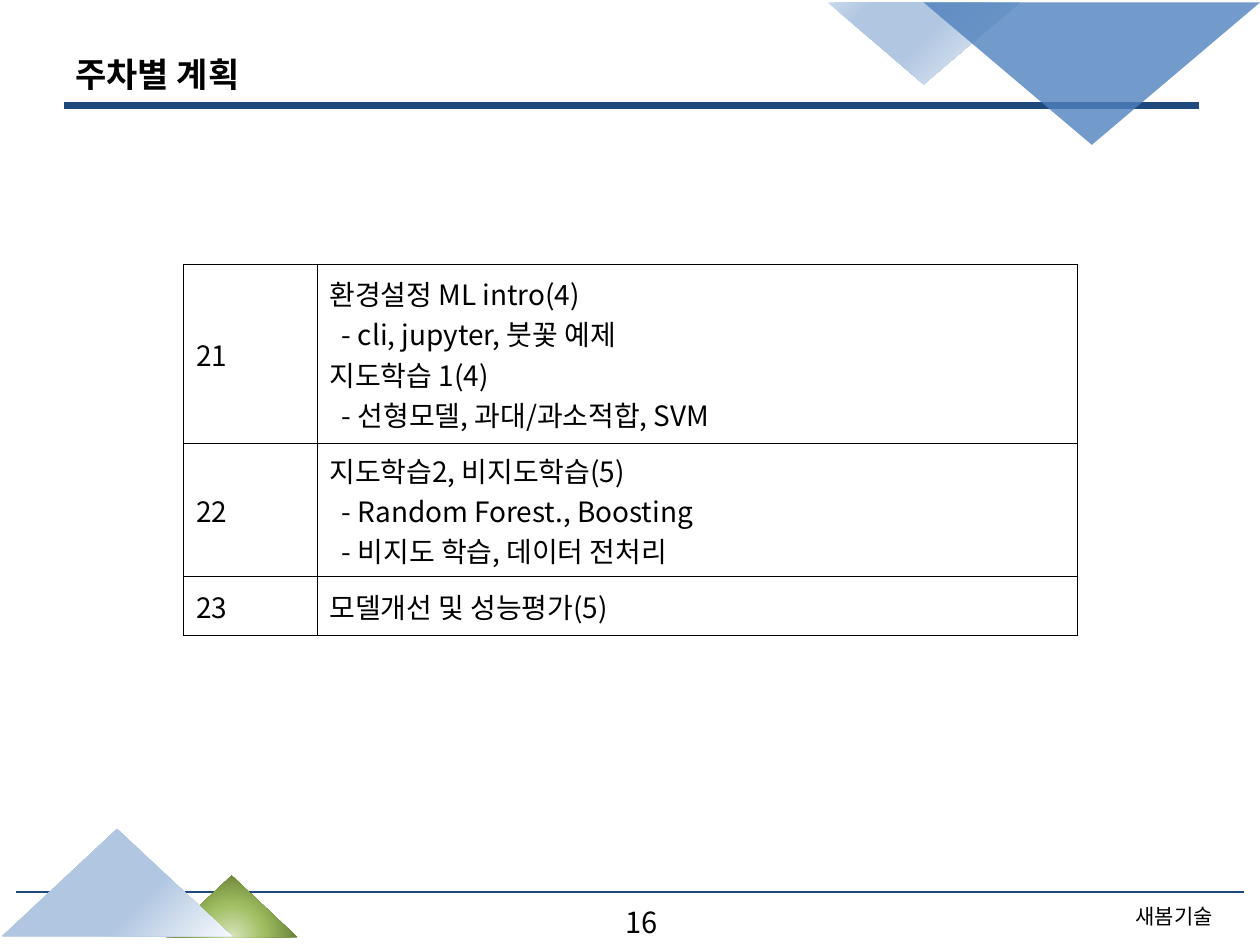
from dataclasses import dataclass

from lxml import etree
from pptx import Presentation
from pptx import util as u
from pptx.dml.color import RGBColor
from pptx.enum import shapes, text
from pptx.oxml import parse_xml
from pptx.oxml.ns import nsdecls, qn


@dataclass(frozen=True)
class Theme:
    font: str = "Noto Sans CJK KR"
    ink: str = "000000"
    rule: str = "1F497D"
    blue: str = "4F81BD"
    pale: tuple = ("F6F9FC", "B0C6E1", "B0C6E1", "CAD9EB")
    green: tuple = ("D7E4BD", "A0BE61", "5F7530")
    title: float = 19.4
    body: float = 16
    number: float = 16.6
    footer: float = 12


theme = Theme()


def add_run(p, words, size, align, bold=False):
    p.alignment = align
    r = p.add_run()
    r.text = words
    r.font.size = u.Pt(size)
    r.font.bold = bold
    r.font.name = theme.font
    r.font.color.rgb = RGBColor.from_string(theme.ink)
    etree.SubElement(r.font._element, qn("a:ea"), typeface=theme.font)


def solid_xml(color, alpha=100):
    return (f'<a:solidFill {nsdecls("a")}><a:srgbClr val="{color}">'
            f'<a:alpha val="{alpha * 1000}"/></a:srgbClr></a:solidFill>')


prs = Presentation()
prs.slide_width, prs.slide_height = u.Cm(25.4), u.Cm(19.05)
s = prs.slides.add_slide(prs.slide_layouts[6])

for left, right, y, weight in [(0.33, 25.07, 17.98, 1.5), (1.3, 24.18, 2.13, 4)]:
    c = s.shapes.add_connector(shapes.MSO_CONNECTOR.STRAIGHT,
                               u.Cm(left), u.Cm(y), u.Cm(right), u.Cm(y))
    c.line.color.rgb = RGBColor.from_string(theme.rule)
    c.line.width = u.Pt(weight)
    etree.SubElement(c._element.spPr, qn("a:effectLst"))

corner = dict(l=100, t=100, r=0, b=0)
below = dict(l=50, t=130, r=50, b=-30)
triangles = [
    (16.69, 0.05, 3.86, 1.65, 180, theme.pale, (0, 53, 83, 100), corner),
    (18.62, 0.05, 6.78, 2.87, 180, theme.blue, None, None),
    (3.35, 17.65, 2.64, 1.24, 0, theme.green, (0, 46, 100), below),
    (0.05, 16.71, 4.62, 2.16, 0, theme.pale, (0, 38, 67, 100), corner),
]
for left, top, width, height, turn, colors, stops, focus in triangles:
    sp = s.shapes.add_shape(shapes.MSO_SHAPE.ISOSCELES_TRIANGLE,
                            u.Cm(left), u.Cm(top), u.Cm(width), u.Cm(height))
    sp.rotation = turn
    sp.shadow.inherit = False
    sp.line.fill.background()
    if stops:
        gs = "".join(f'<a:gs pos="{pos * 1000}"><a:srgbClr val="{color}"/></a:gs>'
                     for pos, color in zip(stops, colors))
        rect = " ".join(f'{side}="{v * 1000}"' for side, v in focus.items())
        fill = (f'<a:gradFill {nsdecls("a")} rotWithShape="1"><a:gsLst>{gs}</a:gsLst>'
                f'<a:path path="circle"><a:fillToRect {rect}/></a:path></a:gradFill>')
    else:
        fill = solid_xml(colors, 80)
    sp._element.spPr.find(qn("a:prstGeom")).addnext(parse_xml(fill))

center, left_al = text.PP_ALIGN.CENTER, text.PP_ALIGN.LEFT
top_anchor, middle = text.MSO_ANCHOR.TOP, text.MSO_ANCHOR.MIDDLE
labels = [
    ("새봄기술", 22.5, 18.08, 2.34, 0.76, theme.footer, center, top_anchor, False),
    ("16", 9.98, 18.11, 5.92, 1.02, theme.number, center, top_anchor, False),
    ("주차별 계획", 1.27, 0.91, 22.86, 1.17, theme.title, left_al, middle, True),
]
for words, left, top, width, height, size, align, anchor, bold in labels:
    tf = s.shapes.add_textbox(u.Cm(left), u.Cm(top), u.Cm(width), u.Cm(height)).text_frame
    tf.word_wrap = True
    tf.vertical_anchor = anchor
    add_run(tf.paragraphs[0], words, size, align, bold)

weeks = [
    ("21", ["환경설정 ML intro(4)", "- cli, jupyter, 붓꽃 예제",
            "지도학습 1(4)", "- 선형모델, 과대/과소적합, SVM"]),
    ("22", ["지도학습2, 비지도학습(5)", "- Random Forest., Boosting",
            "- 비지도 학습, 데이터 전처리"]),
    ("23", ["모델개선 및 성능평가(5)"]),
]
tbl = s.shapes.add_table(len(weeks), 2, u.Cm(3.7), u.Cm(5.33), u.Cm(18.01), u.Cm(7.48)).table
tbl.first_row = tbl.horz_banding = False
for col, width in zip(tbl.columns, (2.69, 15.32)):
    col.width = u.Cm(width)
for row, height, (week, topics) in zip(tbl.rows, (3.61, 2.68, 1.19), weeks):
    row.height = u.Cm(height)
    for cell, lines in zip(row.cells, ([week], topics)):
        cell.vertical_anchor = middle
        tcPr = cell._tc.get_or_add_tcPr()
        for side in ("lnL", "lnR", "lnT", "lnB"):
            ln = etree.SubElement(tcPr, qn(f"a:{side}"), w=str(u.Pt(0.25)))
            ln.append(parse_xml(solid_xml(theme.ink)))
        cell.fill.background()
        tf = cell.text_frame
        for i, line in enumerate(lines):
            p = tf.add_paragraph() if i else tf.paragraphs[0]
            if line.startswith("-"):
                p._p.get_or_add_pPr().set("marL", str(u.Cm(0.25)))
            add_run(p, line, theme.body, text.PP_ALIGN.JUSTIFY)

prs.save("out.pptx")
